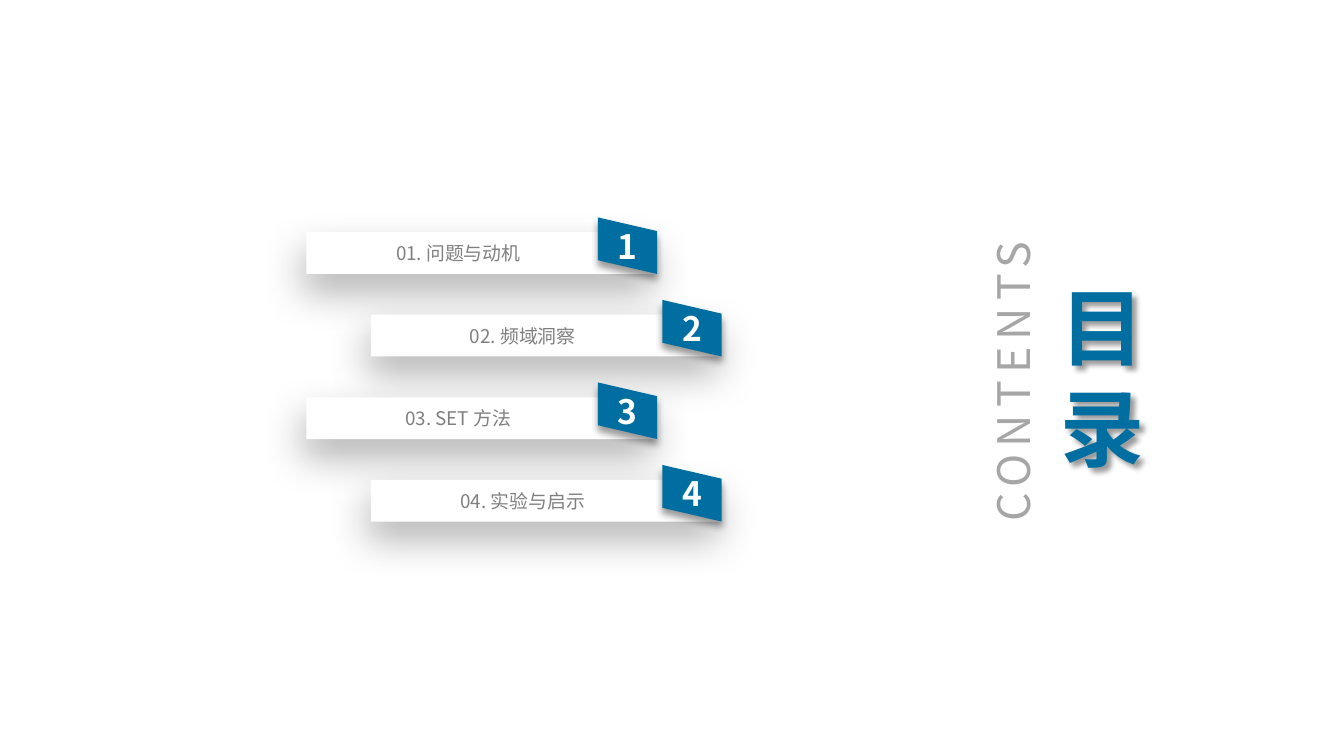
from lxml.etree import SubElement
from pptx import Presentation
from pptx.dml.color import RGBColor
from pptx.enum.shapes import MSO_SHAPE
from pptx.enum.text import MSO_ANCHOR, PP_ALIGN
from pptx.oxml.ns import qn
from pptx.util import Cm, Pt

BLUE = RGBColor(0x00, 0x6E, 0xA0)
WHITE = RGBColor(0xFF, 0xFF, 0xFF)
GREY = RGBColor(0x7F, 0x7F, 0x7F)
SILVER = RGBColor(0xA6, 0xA6, 0xA6)

FONT = "Noto Sans CJK SC"
TOPICS = ["01. 问题与动机", "02. 频域洞察", "03. SET 方法", "04. 实验与启示"]
LEFT, TOP, STEP, SHIFT = 5.79, 4.39, 1.56, 1.22
BAR_WIDTH, BAR_HEIGHT = 6.63, 0.79
TAG_WIDTH, TAG_SIDE, TAG_SLOPE, TAG_RISE = 1.12, 0.81, 0.26, 0.28


class ContentsPage:
    """Draws the elements of the contents slide in one style."""

    def __init__(self, page):
        self.page = page

    def shadow(self, shape, alpha, blur, distance, angle):
        shape.shadow.inherit = False
        effects = shape._element.spPr.find(qn("a:effectLst"))
        outer = SubElement(effects, qn("a:outerShdw"), blurRad=str(Pt(blur)),
                           dist=str(Pt(distance)), dir=str(angle * 60000),
                           algn="t", rotWithShape="0")
        black = SubElement(outer, qn("a:srgbClr"), val="000000")
        SubElement(black, qn("a:alpha"), val=str(alpha * 1000))

    def paint(self, shape, color):
        shape.fill.solid()
        shape.fill.fore_color.rgb = color
        shape.line.fill.background()

    def set_text(self, shape, text, size, color, bold=False, spacing=0,
                 align=PP_ALIGN.CENTER, **layout):
        frame = shape.text_frame
        layout = {"word_wrap": True, "vertical_anchor": MSO_ANCHOR.MIDDLE, **layout}
        for name, value in layout.items():
            setattr(frame, name, value)
        para = frame.paragraphs[0]
        para.alignment = align
        span = para.add_run()
        span.text = text
        for name, value in {"name": FONT, "size": Pt(size), "bold": bold}.items():
            setattr(span.font, name, value)
        span.font.color.rgb = color
        properties = span._r.get_or_add_rPr()
        SubElement(properties, qn("a:ea"), typeface=FONT)
        if spacing:
            properties.set("spc", str(round(spacing * 100)))

    def bar(self, left, top, text):
        box = self.page.shapes.add_shape(MSO_SHAPE.RECTANGLE, Cm(left), Cm(top),
                                         Cm(BAR_WIDTH), Cm(BAR_HEIGHT))
        self.paint(box, WHITE)
        self.shadow(box, 30, 22, 10, 101)
        self.set_text(box, text, 10.1, GREY, word_wrap=False,
                      vertical_anchor=MSO_ANCHOR.TOP, margin_left=0,
                      margin_top=Cm(0.18), margin_right=Cm(0.89), margin_bottom=0)

    def tag(self, left, top, number):
        right = left + TAG_WIDTH
        corners = [(left, top + TAG_SIDE), (right, top + TAG_SLOPE + TAG_SIDE),
                   (right, top + TAG_SLOPE)]
        builder = self.page.shapes.build_freeform(Cm(left), Cm(top))
        builder.add_line_segments([(Cm(x), Cm(y)) for x, y in corners], close=True)
        tag = builder.convert_to_shape()
        self.paint(tag, BLUE)
        self.shadow(tag, 40, 4, 3, 90)
        self.set_text(tag, str(number), 18, WHITE, bold=True)

    def label(self, left, top, width, height, text, size, color, rotation=0, **style):
        box = self.page.shapes.add_textbox(Cm(left), Cm(top), Cm(width), Cm(height))
        box.rotation = rotation
        self.set_text(box, text, size, color, **style)
        return box


def main():
    deck = Presentation()
    deck.slide_width, deck.slide_height = Cm(25.4), Cm(14.29)
    contents = ContentsPage(deck.slides.add_slide(deck.slide_layouts[6]))
    for index, topic in enumerate(TOPICS):
        left = LEFT + index % 2 * SHIFT
        top = TOP + index * STEP
        contents.bar(left, top, topic)
        contents.tag(left + BAR_WIDTH - TAG_WIDTH, top - TAG_RISE, index + 1)
    contents.label(15.54, 6.6, 7.21, 1.24, "CONTENTS", 24, SILVER, rotation=270,
                   spacing=3.8, word_wrap=False)
    title = contents.label(19.79, 5.87, 1.17, 2.49, "目录", 45, BLUE, bold=True,
                           align=PP_ALIGN.LEFT)
    contents.shadow(title, 40, 3, 3, 45)
    deck.save("out.pptx")


if __name__ == "__main__":
    main()
